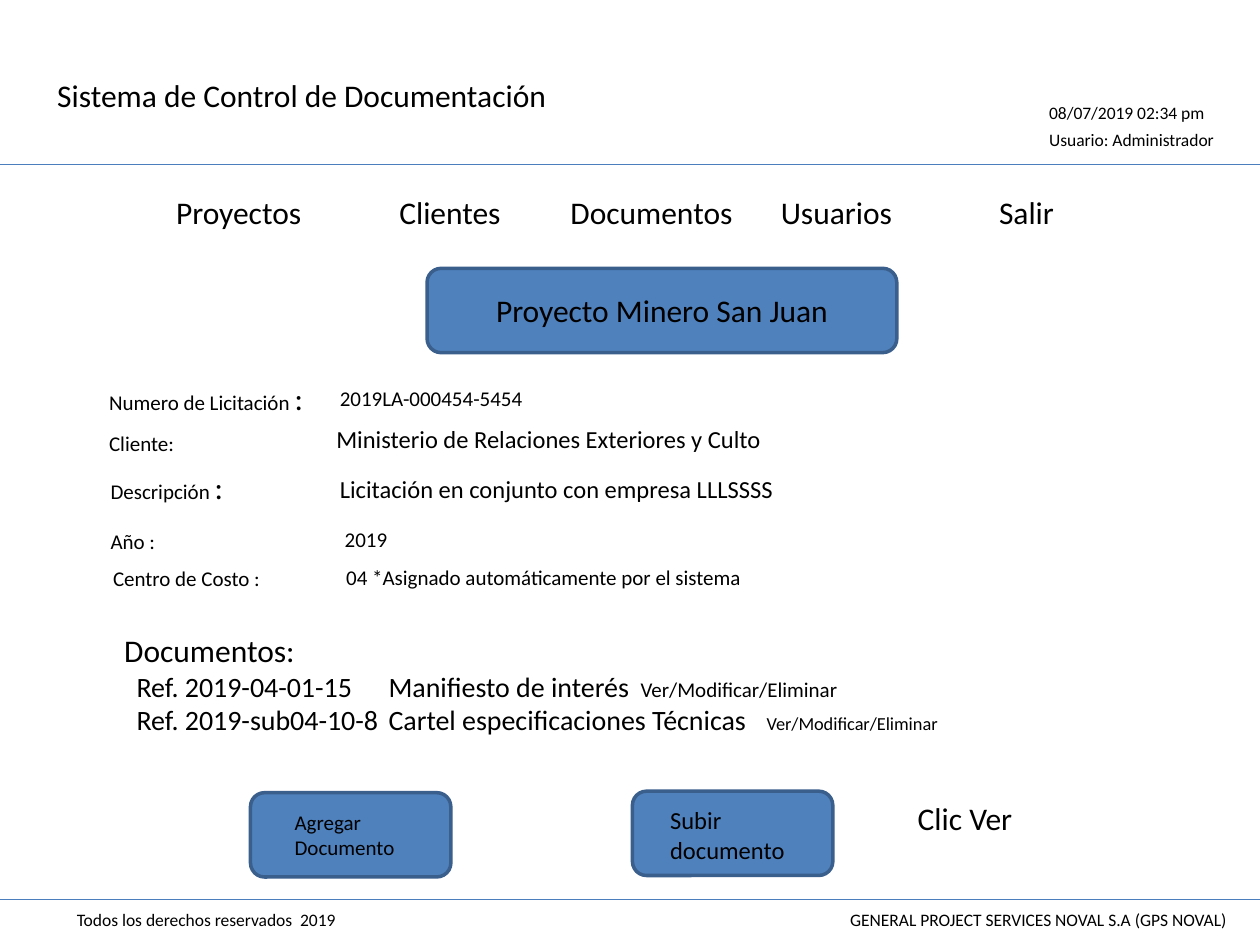
from dataclasses import dataclass
from lxml.etree import SubElement
from pptx import Presentation
from pptx.dml.color import RGBColor
from pptx.enum.shapes import MSO_CONNECTOR, MSO_SHAPE
from pptx.enum.text import MSO_ANCHOR, MSO_AUTO_SIZE, PP_ALIGN
from pptx.oxml.ns import qn
from pptx.util import Cm, Pt


@dataclass(frozen=True)
class Theme:
    font: str = "Calibri"
    ink: str = "000000"
    fill: str = "4F81BD"
    edge: str = "3A5F8C"
    rule: str = "4B7EBC"
    head: float = 18
    ref: float = 16
    large: float = 14
    base: float = 12
    link: float = 10.5
    small: float = 10


T = Theme()
WIDTH, HEIGHT = 25.4, 19.05
TALL = {T.head: 1.02, T.large: 0.86, T.base: 0.76, T.small: 0.69}

TITLE = "Sistema de Control de Documentación"
STATUS = ["08/07/2019 02:34 pm", "Usuario: Administrador"]
MENU = [
    ("Proyectos", 3.3, 3.61),
    ("Clientes", 7.8, 2.9),
    ("Documentos", 11.25, 3.86),
    ("Usuarios", 15.49, 3.86),
    ("Salir", 19.89, 2.21),
]
FIELDS = [
    ([("Numero de Licitación ", T.base), (":", T.head)], (1.95, 7.52, 6.3),
     "2019LA-000454-5454", T.base, (6.6, 7.65, 6.3)),
    ([("Cliente:", T.base)], (1.95, 8.56, 3.61),
     "Ministerio de Relaciones Exteriores y Culto", T.large, (6.53, 8.43, 11.71)),
    ([("Descripción ", T.base), (":", T.head)], (1.98, 9.31, 3.99),
     "Licitación en conjunto con empresa LLLSSSS", T.large, (6.6, 9.44, 10.11)),
    ([("Año :", T.base)], (1.98, 10.53, 3.99),
     "2019", T.base, (6.7, 10.49, 2.18)),
    ([("Centro de Costo :", T.base)], (2.03, 11.28, 3.99),
     "04 *Asignado automáticamente por el sistema", T.base, (6.73, 11.25, 13.13)),
]
LIST = "Documentos:"
FILES = [
    ("Ref. 2019-04-01-15", "Manifiesto de interés", T.base, (4.33, 9.45)),
    ("Ref. 2019-sub04-10-8", "Cartel especificaciones Técnicas", T.link, (5.38, 12.68)),
]
ACTION = "Ver/Modificar/Eliminar"
BUTTONS = [
    ((12.75, 15.95, 4.04, 1.7), "Subir documento", T.large, (13.26, 16.11, 3.25, 1.44)),
    ((5.05, 15.98, 4.04, 1.7), "Agregar Documento", T.base, (5.69, 16.2, 2.64, 1.27)),
    ((8.61, 5.41, 9.47, 1.7), "Proyecto Minero San Juan", T.head, (9.75, 5.74, 7.7, 1.02)),
]
HINT = "Clic Ver"
FOOTER = [
    ("Todos los derechos reservados  2019", 1.3, 7.6),
    ("GENERAL PROJECT SERVICES NOVAL S.A (GPS NOVAL)", 16.89, 8.15),
]
RULES = [3.32, 18.13]

deck = Presentation()
deck.slide_width, deck.slide_height = Cm(WIDTH), Cm(HEIGHT)
slide = deck.slides.add_slide(deck.slide_layouts[1])


def write(rows, *, box, size=T.base, shape=None, indents=(), tabs=()):
    place = [Cm(v) for v in box]
    if shape is None:
        shape = slide.shapes.add_textbox(*place)
    else:
        shape.left, shape.top, shape.width, shape.height = place
    frame = shape.text_frame
    frame.word_wrap = True
    frame.auto_size = MSO_AUTO_SIZE.NONE
    frame.vertical_anchor = MSO_ANCHOR.TOP
    rows = [[(rows, size)]] if isinstance(rows, str) else rows
    for i, row in enumerate(rows):
        para = frame.paragraphs[0] if i == 0 else frame.add_paragraph()
        props = para._p.get_or_add_pPr()
        props.set("marL", str(Cm(indents[i] if indents else 0)))
        props.set("indent", "0")
        SubElement(props, qn("a:buNone"))
        if tabs and tabs[i]:
            stops = SubElement(props, qn("a:tabLst"))
            for stop in tabs[i]:
                SubElement(stops, qn("a:tab"), pos=str(Cm(stop)), algn="l")
        para.alignment = PP_ALIGN.LEFT
        para.space_before = Pt(0)
        for text, points in row:
            run = para.add_run()
            run.text = text
            run.font.name = T.font
            run.font.size = Pt(points)
            run.font.color.rgb = RGBColor.from_string(T.ink)


def button(box):
    shape = slide.shapes.add_shape(MSO_SHAPE.ROUNDED_RECTANGLE, *[Cm(v) for v in box])
    shape.shadow.inherit = False
    shape.fill.solid()
    shape.fill.fore_color.rgb = RGBColor.from_string(T.fill)
    shape.line.color.rgb = RGBColor.from_string(T.edge)
    shape.line.width = Pt(2)


def rule(top):
    line = slide.shapes.add_connector(
        MSO_CONNECTOR.STRAIGHT, 0, Cm(top), Cm(WIDTH), Cm(top))
    line.line.color.rgb = RGBColor.from_string(T.rule)
    line.line.width = Pt(0.75)
    SubElement(line._element.spPr, qn("a:effectLst"))


def main():
    write(TITLE, box=(0.9, 1.41, 11.4, TALL[T.head]), size=T.head,
          shape=slide.shapes.title)
    for top in RULES:
        rule(top)
    for i, text in enumerate(STATUS):
        write(text, box=(20.9, 1.93 + i * 0.55, 4.17, TALL[T.small]), size=T.small)
    for text, left, wide in MENU:
        write(text, box=(left, 3.77, wide, TALL[T.head]), size=T.head)
    for box, text, size, inner in BUTTONS:
        button(box)
        write(text, box=inner, size=size)
    for name, spot, value, size, place in FIELDS:
        write([name], box=(*spot, TALL[name[-1][1]]))
        write(value, box=(*place, TALL[size]), size=size)
    rows = [[(LIST, T.head)]] + [
        [(f"{code}\t{name}\t", T.ref), (ACTION, size)] for code, name, size, _ in FILES]
    write(rows, box=(2.25, 12.6, 21.84, 2.39), shape=slide.placeholders[1],
          indents=[0] + [0.25] * len(FILES), tabs=[()] + [row[-1] for row in FILES])
    write(HINT, box=(18.25, 15.98, 3.84, TALL[T.head]), size=T.head)
    for text, left, wide in FOOTER:
        write(text, box=(left, 18.21, wide, TALL[T.small]), size=T.small)
    deck.save("out.pptx")


if __name__ == "__main__":
    main()
